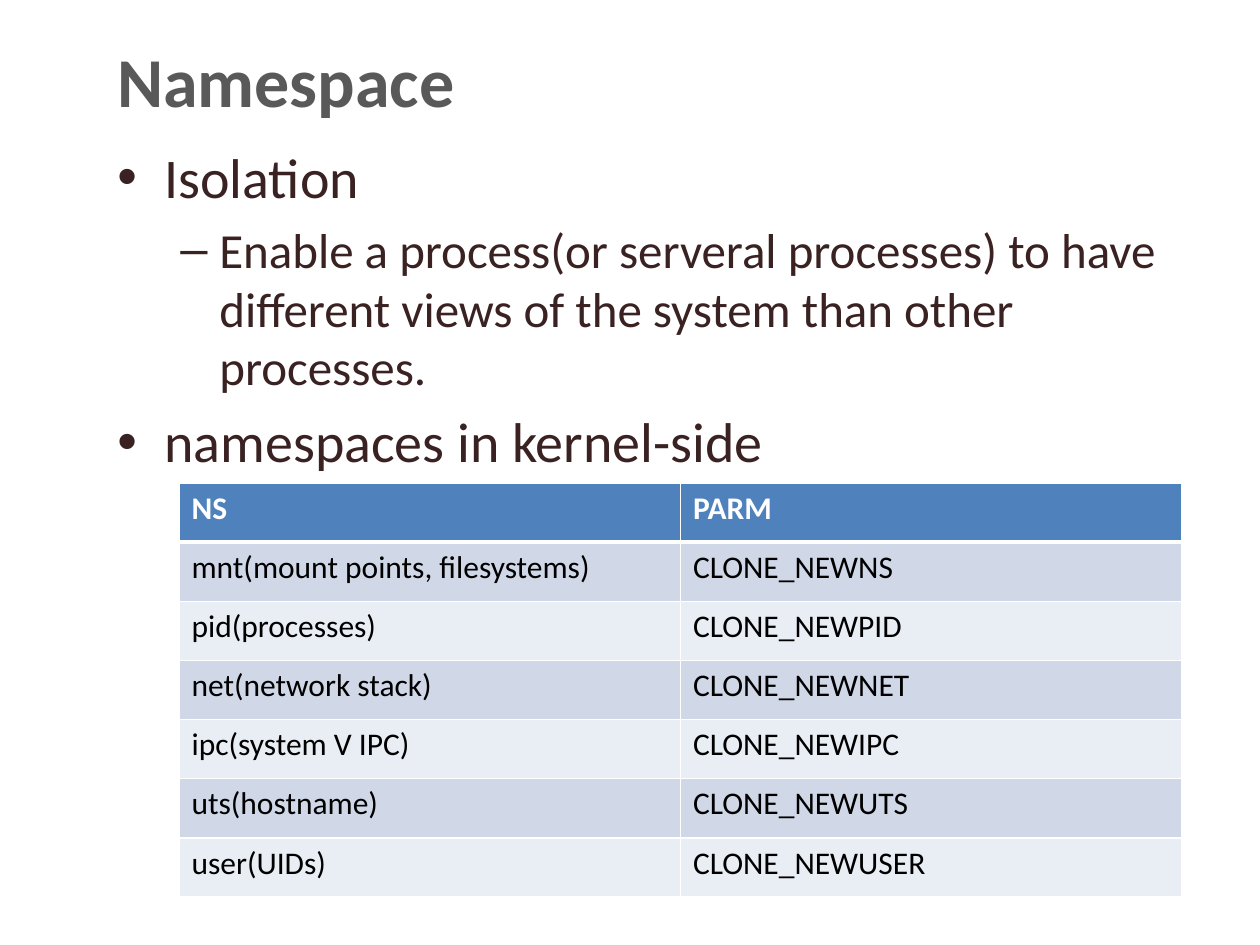
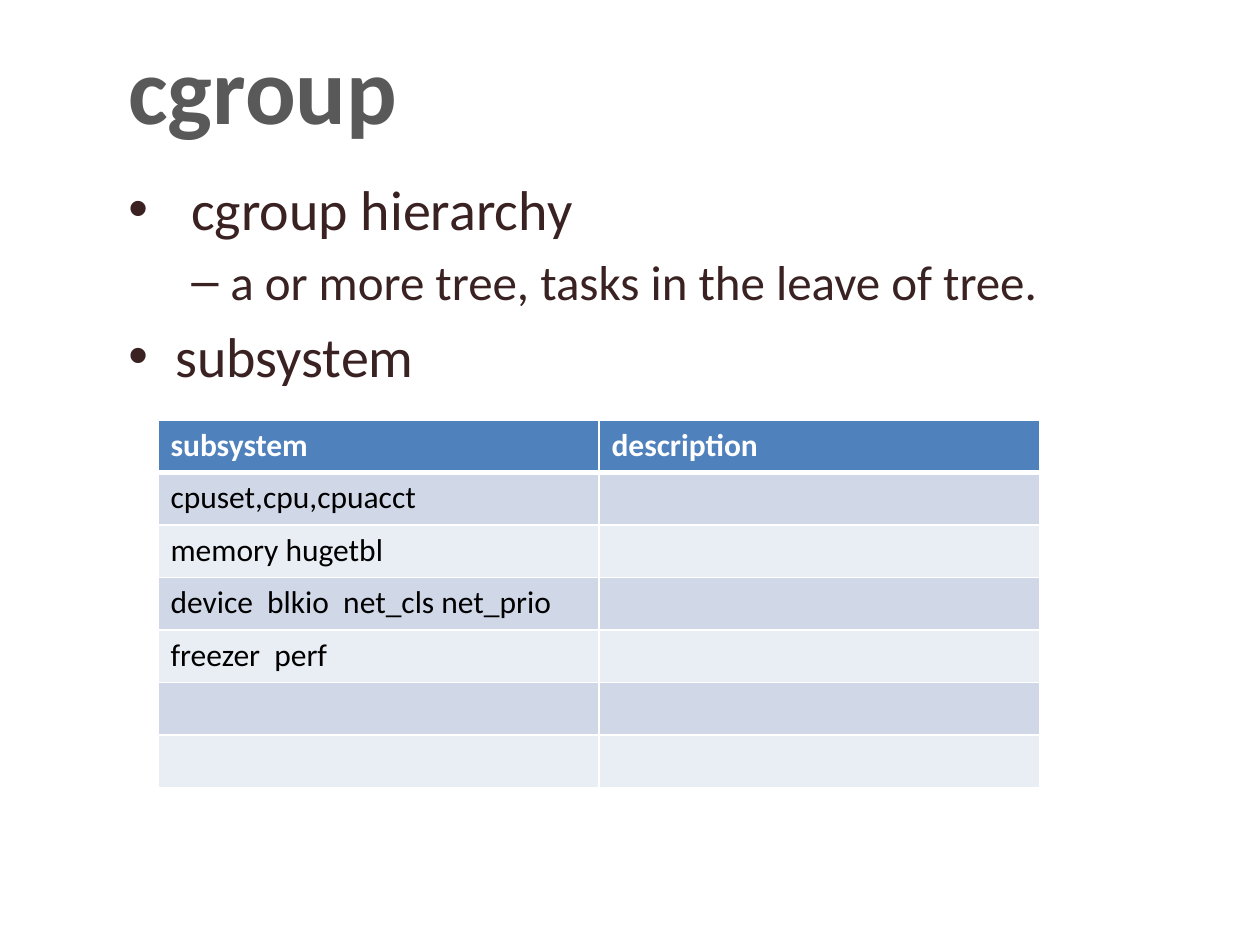
from pptx import Presentation
from pptx.dml.color import RGBColor
from pptx.enum.text import MSO_ANCHOR, PP_ALIGN
from pptx.oxml.ns import qn
from pptx.util import Emu, Pt
from lxml import etree

MIDDLE, TOP, LEFT = MSO_ANCHOR.MIDDLE, MSO_ANCHOR.TOP, PP_ALIGN.LEFT
FONT = "Calibri"
GREY, BROWN, WHITE, BLACK = "595959", "3A2222", "FFFFFF", "000000"
HEAD, BANDS = "4F81BD", ("D0D8E8", "E9EDF4")


def px(n):
    """Turn pixels into EMU."""
    return Emu(round(n * 914400 / 126))


def rgb(code):
    """Turn a hex string into a colour."""
    return RGBColor.from_string(code)


def line(tag, width, code):
    """Make a solid line element."""
    ln = etree.Element(qn(tag), w=str(Pt(width)))
    fill = etree.SubElement(ln, qn("a:solidFill"))
    etree.SubElement(fill, qn("a:srgbClr"), val=code)
    return ln


class Deck:
    """Hold the style and the current slide."""

    def __init__(self):
        """Start an empty deck."""
        self.prs = Presentation()
        self.prs.slide_width, self.prs.slide_height = px(1260), px(945)

    def page(self):
        """Add a blank white slide."""
        self.slide = self.prs.slides.add_slide(self.prs.slide_layouts[6])
        fill = self.slide.background.fill
        fill.solid()
        fill.fore_color.rgb = rgb(WHITE)

    def run(self, para, text, size, code, bold=False):
        """Add one styled run."""
        run = para.add_run()
        run.text = text
        font = run.font
        font.name, font.size, font.bold = FONT, Pt(size), bold
        font.color.rgb = rgb(code)
        return run

    def frame(self, box, anchor):
        """Add a wrapped text box."""
        frame = self.slide.shapes.add_textbox(*map(px, box)).text_frame
        frame.word_wrap = True
        frame.vertical_anchor = anchor
        return frame

    def title(self, box, text, size):
        """Add the outlined slide title."""
        para = self.frame(box, MIDDLE).paragraphs[0]
        para.alignment = LEFT
        run = self.run(para, text, size, GREY, True)
        run.font._element.insert(0, line("a:ln", 1.5, GREY))

    def body(self, box, items):
        """Add bullets given as level, indent and text."""
        frame = self.frame(box, TOP)
        for i, (level, hang, text) in enumerate(items):
            para = frame.add_paragraph() if i else frame.paragraphs[0]
            size = (32, 28)[level]
            para.level, para.alignment = level, LEFT
            para.space_before = Pt(size * 0.2)
            props = para._p.get_or_add_pPr()
            props.set("marL", str(px(hang + 63 * level)))
            props.set("indent", str(-px(hang)))
            etree.SubElement(props, qn("a:buFont"), typeface="Arial")
            etree.SubElement(props, qn("a:buChar"), char="•–"[level])
            self.run(para, text, size, BROWN)

    def edge(self, cell, row):
        """Draw the cell's white borders, thick below the header."""
        props = cell._tc.get_or_add_tcPr()
        wide = {"T": 3 if row == 1 else 1, "B": 3 if row == 0 else 1}
        for i, side in enumerate("LRTB"):
            props.insert(i, line("a:ln" + side, wide.get(side, 1), WHITE))

    def table(self, box, rows):
        """Add a banded table with a header row."""
        shape = self.slide.shapes.add_table(len(rows), len(rows[0]), *map(px, box))
        for r, row in enumerate(rows):
            for c, text in enumerate(row):
                cell = shape.table.cell(r, c)
                cell.fill.solid()
                cell.fill.fore_color.rgb = rgb(BANDS[(r - 1) % 2] if r else HEAD)
                self.edge(cell, r)
                para = cell.text_frame.paragraphs[0]
                para.font.size = Pt(18)
                if text:
                    self.run(para, text, 18, BLACK if r else WHITE, r == 0)


def main():
    """Build both slides and save them."""
    deck = Deck()

    deck.page()
    deck.title((105, 0, 1134, 158), "Namespace", 40)
    deck.body((105, 136, 1134, 624), [
        (0, 47, "Isolation"),
        (1, 39, "Enable a process(or serveral processes) to have "
                "different views of the system than other processes."),
        (0, 47, "namespaces in kernel-side"),
    ])
    deck.table((179, 483, 1003, 414), [
        ("NS", "PARM"),
        ("mnt(mount points, filesystems)", "CLONE_NEWNS"),
        ("pid(processes)", "CLONE_NEWPID"),
        ("net(network stack)", "CLONE_NEWNET"),
        ("ipc(system V IPC)", "CLONE_NEWIPC"),
        ("uts(hostname)", "CLONE_NEWUTS"),
        ("user(UIDs)", "CLONE_NEWUSER"),
    ])

    deck.page()
    deck.title((116, 38, 1134, 98), "cgroup", 54)
    deck.body((116, 168, 1134, 624), [
        (0, 63, "cgroup hierarchy"),
        (1, 39, "a or more tree, tasks in the leave of tree."),
        (0, 47, "subsystem"),
    ])
    deck.table((158, 420, 882, 368), [
        ("subsystem", "description"),
        ("cpuset,cpu,cpuacct", ""),
        ("memory hugetbl", ""),
        ("device  blkio  net_cls net_prio", ""),
        ("freezer  perf", ""),
        ("", ""),
        ("", ""),
    ])

    deck.prs.save("out.pptx")


if __name__ == "__main__":
    main()
